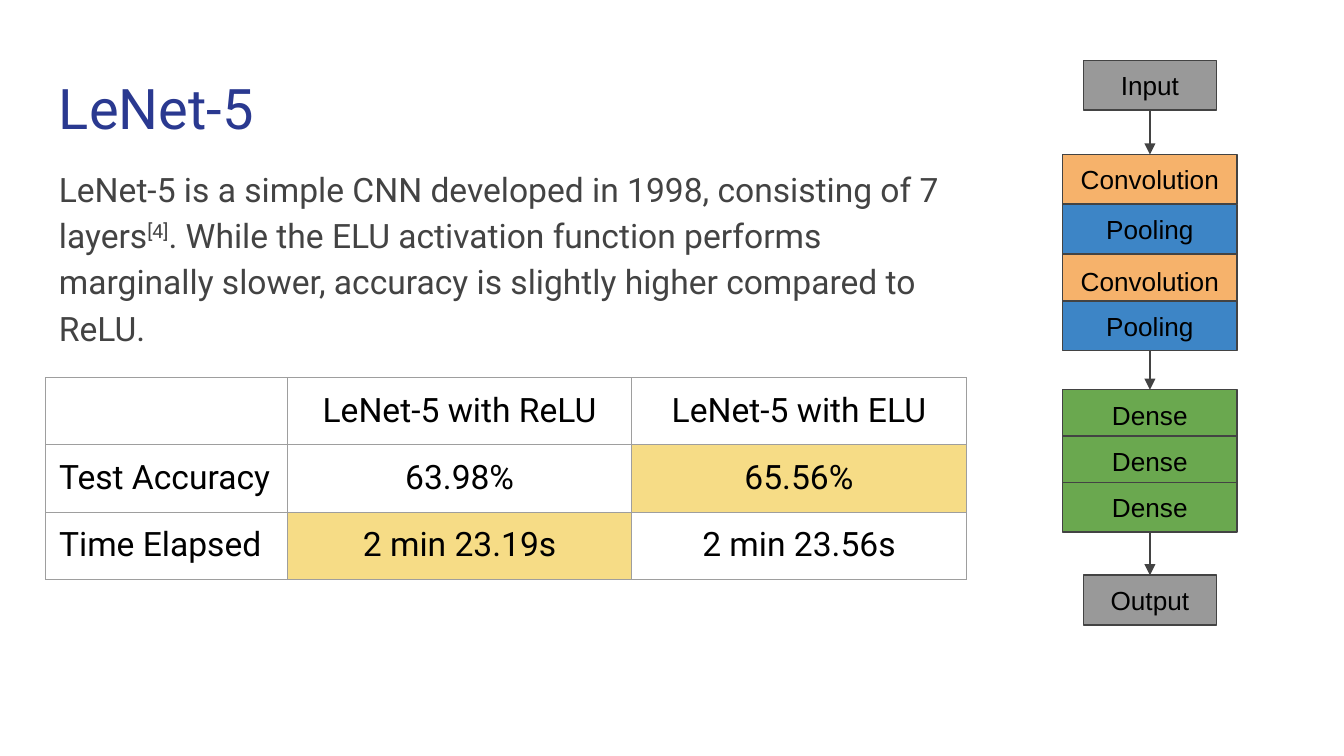
from dataclasses import dataclass

from lxml import etree
from pptx import Presentation
from pptx.dml.color import RGBColor
from pptx.enum.shapes import MSO_CONNECTOR, MSO_SHAPE
from pptx.enum.text import MSO_ANCHOR, PP_ALIGN
from pptx.oxml.ns import qn
from pptx.util import Inches, Pt

RECTANGLE = MSO_SHAPE.RECTANGLE
STRAIGHT = MSO_CONNECTOR.STRAIGHT
MIDDLE = MSO_ANCHOR.MIDDLE
CENTER, LEFT = PP_ALIGN.CENTER, PP_ALIGN.LEFT
TOP_SITE, BOTTOM_SITE = 0, 2


@dataclass(frozen=True)
class Theme:
    text_font: str = "Roboto"
    diagram_font: str = "Arial"
    title_size: int = 30
    text_size: int = 18
    diagram_size: int = 14
    line_width: float = 0.75
    title: str = "2A3990"
    body: str = "434343"
    black: str = "000000"
    table_border: str = "9E9E9E"
    best: str = "F6DC86"
    endpoint: str = "999999"
    convolution: str = "F6B26B"
    pooling: str = "3D85C6"
    dense: str = "6AA84F"


THEME = Theme()
COLUMNS, ROWS = 100, 56.25
CENTER_COLUMN = 85.56
LAYER_WIDTH, ENDPOINT_WIDTH, BOX_HEIGHT = 13, 9.9, 3.7
TABLE_COLUMNS, TABLE_ROW = (18, 25.6, 24.9), 4.91

TABLE = (
    ("", "LeNet-5 with ReLU", "LeNet-5 with ELU"),
    ("Test Accuracy", "63.98%", "65.56%"),
    ("Time Elapsed", "2 min 23.19s", "2 min 23.56s"),
)
BEST_CELLS = {(1, 2), (2, 1)}

INPUT = (("Input", 4.5, THEME.endpoint),)
FEATURES = (
    ("Convolution", 11.5, THEME.convolution),
    ("Pooling", 15.2, THEME.pooling),
    ("Convolution", 18.9, THEME.convolution, 4),
    ("Pooling", 22.4, THEME.pooling),
)
CLASSIFIER = tuple(("Dense", 29 + 3.45 * step, THEME.dense) for step in range(3))
OUTPUT = (("Output", 42.8, THEME.endpoint),)


def grid(*cells):
    return [Inches(cell / 10) for cell in cells]


def set_font(font, name, size, color):
    font.name = name
    font.size = Pt(size)
    font.color.rgb = RGBColor.from_string(color)


def set_line(line):
    line.color.rgb = RGBColor.from_string(THEME.body)
    line.width = Pt(THEME.line_width)


def set_margins(holder):
    holder.margin_left = holder.margin_right = Inches(0.1)
    holder.margin_top = holder.margin_bottom = Inches(0.1)


def add_text(page, area, texts, size, color):
    frame = page.shapes.add_textbox(*grid(*area)).text_frame
    frame.word_wrap = True
    set_margins(frame)
    para = frame.paragraphs[0]
    set_font(para.font, THEME.text_font, size, color)
    for text in texts:
        para.add_run().text = text
    return para


def add_body(page):
    para = add_text(
        page,
        (3.4, 11.1, 69.7, 14),
        (
            "LeNet-5 is a simple CNN developed in 1998, consisting of 7 layers",
            "[4]",
            ". While the ELU activation function performs marginally slower, "
            "accuracy is slightly higher compared to ReLU.",
        ),
        THEME.text_size,
        THEME.body,
    )
    para.line_spacing = 1.15
    para.space_after = Pt(16)
    citation = para.runs[1]
    citation._r.get_or_add_rPr().set("baseline", "30000")


def set_borders(cell):
    properties = cell._tc.get_or_add_tcPr()
    for side in ("a:lnL", "a:lnR", "a:lnT", "a:lnB"):
        border = etree.SubElement(properties, qn(side), w=str(Pt(THEME.line_width)))
        fill = etree.SubElement(border, qn("a:solidFill"))
        etree.SubElement(fill, qn("a:srgbClr"), val=THEME.table_border)


def fill_cell(cell, text, align, is_best):
    set_margins(cell)
    set_borders(cell)
    if is_best:
        cell.fill.solid()
        cell.fill.fore_color.rgb = RGBColor.from_string(THEME.best)
    else:
        cell.fill.background()
    cell.text = text
    para = cell.text_frame.paragraphs[0]
    para.alignment = align
    set_font(para.font, THEME.text_font, THEME.text_size, THEME.black)


def add_results(page):
    area = grid(3.4, 28.1, sum(TABLE_COLUMNS), TABLE_ROW * len(TABLE))
    table = page.shapes.add_table(len(TABLE), len(TABLE_COLUMNS), *area).table
    table.first_row = table.horz_banding = False
    for column, width in zip(table.columns, grid(*TABLE_COLUMNS)):
        column.width = width
    for row, texts in enumerate(TABLE):
        for column, text in enumerate(texts):
            align = CENTER if column else LEFT
            fill_cell(table.cell(row, column), text, align, (row, column) in BEST_CELLS)


def add_box(page, width, label, top, color, height=BOX_HEIGHT):
    left = CENTER_COLUMN - width / 2
    box = page.shapes.add_shape(RECTANGLE, *grid(left, top, width, height))
    box.shadow.inherit = False
    box.fill.solid()
    box.fill.fore_color.rgb = RGBColor.from_string(color)
    set_line(box.line)
    frame = box.text_frame
    frame.word_wrap = True
    frame.vertical_anchor = MIDDLE
    set_margins(frame)
    para = frame.paragraphs[0]
    para.text = label
    para.alignment = CENTER
    set_font(para.font, THEME.diagram_font, THEME.diagram_size, THEME.black)
    return box


def add_arrow(page, upper, lower):
    arrow = page.shapes.add_connector(STRAIGHT, 0, 0, 0, 0)
    arrow.begin_connect(upper, BOTTOM_SITE)
    arrow.end_connect(lower, TOP_SITE)
    set_line(arrow.line)
    etree.SubElement(arrow.line._get_or_add_ln(), qn("a:tailEnd"), type="triangle")
    etree.SubElement(arrow._element.spPr, qn("a:effectLst"))


def add_network(page):
    stacks = (
        (ENDPOINT_WIDTH, INPUT),
        (LAYER_WIDTH, FEATURES),
        (LAYER_WIDTH, CLASSIFIER),
        (ENDPOINT_WIDTH, OUTPUT),
    )
    groups = [[add_box(page, width, *layer) for layer in layers] for width, layers in stacks]
    for upper, lower in zip(groups, groups[1:]):
        add_arrow(page, upper[-1], lower[0])


def main():
    deck = Presentation()
    deck.slide_width, deck.slide_height = grid(COLUMNS, ROWS)
    page = deck.slides.add_slide(deck.slide_layouts[6])
    add_text(page, (3.4, 4.5, 93.2, 6.6), ("LeNet-5",), THEME.title_size, THEME.title)
    add_body(page)
    add_results(page)
    add_network(page)
    deck.save("out.pptx")


if __name__ == "__main__":
    main()
